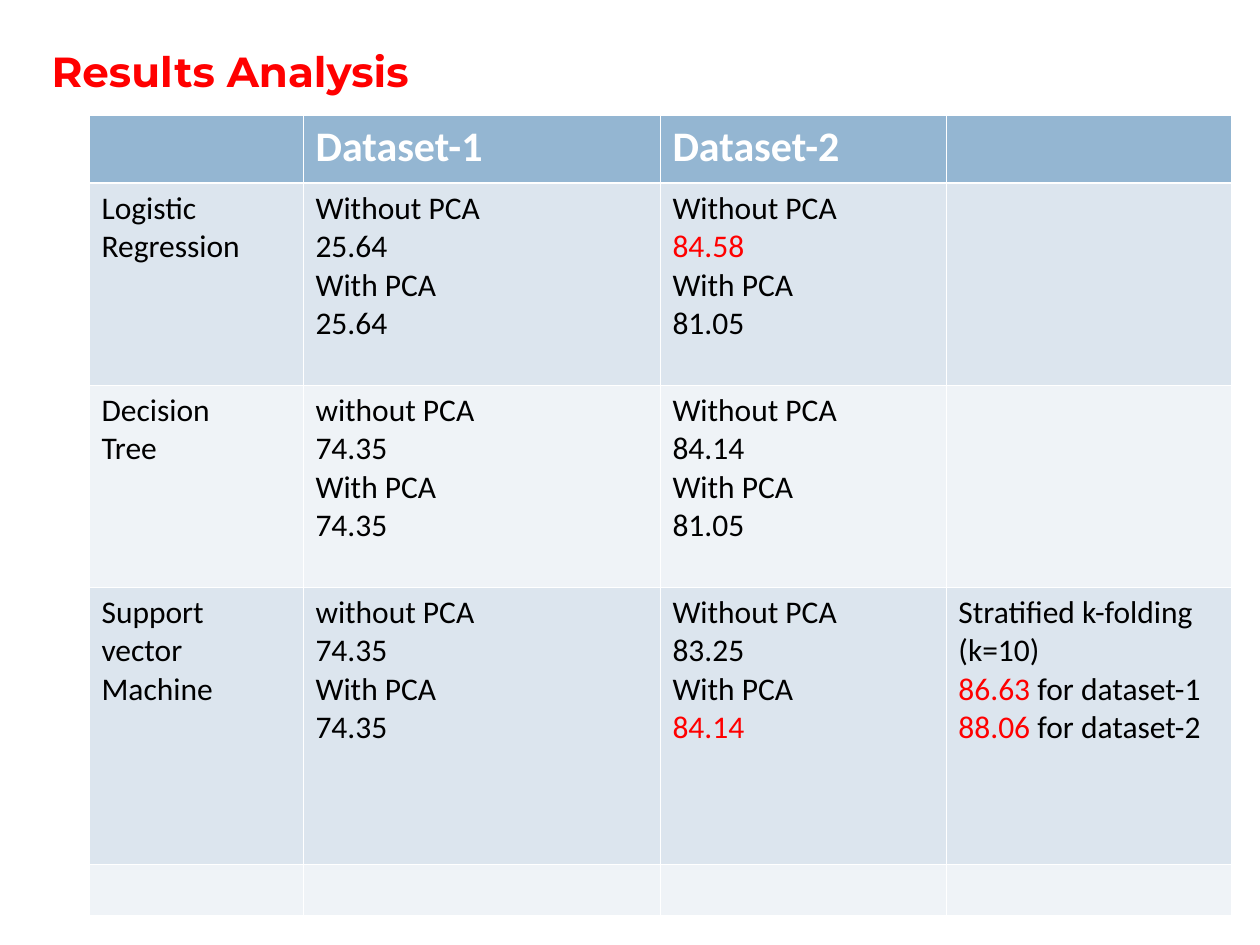
from pptx import Presentation
from pptx.dml.color import RGBColor
from pptx.enum.text import MSO_ANCHOR, MSO_AUTO_SIZE, PP_ALIGN
from pptx.oxml.ns import qn
from pptx.util import Emu, Pt
from lxml.etree import SubElement

PX_PER_INCH = 126
WHITE = RGBColor(0xFF, 0xFF, 0xFF)
BLACK = RGBColor(0x00, 0x00, 0x00)
RED = RGBColor(0xFF, 0x00, 0x00)
HEADER_BLUE = RGBColor(0x94, 0xB6, 0xD2)
BANDS = (RGBColor(0xDC, 0xE5, 0xEE), RGBColor(0xEF, 0xF3, 0xF7))

COL_WIDTHS = (214, 357, 286, 285)
ROW_HEIGHTS = (68, 202, 202, 277, 51)
THIN, THICK = Pt(0.45), Pt(1.47)

# Values between asterisks are highlighted in red.
RESULTS = [
    ["", "Dataset-1", "Dataset-2", ""],
    ["Logistic\nRegression",
     "Without PCA\n25.64\nWith PCA\n25.64",
     "Without PCA\n*84.58*\nWith PCA\n81.05", ""],
    ["Decision\nTree",
     "without PCA\n74.35\nWith PCA\n74.35",
     "Without PCA\n84.14\nWith PCA\n81.05", ""],
    ["Support vector Machine",
     "without PCA\n74.35\nWith PCA\n74.35",
     "Without PCA\n83.25\nWith PCA\n*84.14*",
     "Stratified k-folding\n(k=10)\n*86.63* for dataset-1\n*88.06* for dataset-2"],
    ["", "", "", ""],
]


def px(n):
    return Emu(round(n * 914400 / PX_PER_INCH))


def format_run(r, font, size, color, bold):
    r.font.name = font
    r.font.size = Pt(size)
    r.font.color.rgb = color
    r.font.bold = bold


def add_title(slide, x, y, w, h):
    title = slide.shapes.title
    title.left, title.top, title.width, title.height = px(x), px(y), px(w), px(h)
    tf = title.text_frame
    tf.text = "Results Analysis"
    tf.word_wrap = True
    tf.auto_size = MSO_AUTO_SIZE.NONE
    tf.vertical_anchor = MSO_ANCHOR.TOP
    p = tf.paragraphs[0]
    p.alignment = PP_ALIGN.LEFT
    format_run(p.runs[0], "Montserrat", 24, RED, True)


def set_borders(cell, top, bottom):
    """Draw white borders; call before the fill, which must follow them in the XML."""
    tc_pr = cell._tc.get_or_add_tcPr()
    for side, width in (("L", THIN), ("R", THIN), ("T", top), ("B", bottom)):
        ln = SubElement(tc_pr, qn(f"a:ln{side}"), w=str(int(width)))
        fill = SubElement(ln, qn("a:solidFill"))
        SubElement(fill, qn("a:srgbClr"), val=str(WHITE))


def write_cell(cell, text, size, color, bold):
    tf = cell.text_frame
    tf.text = text.replace("*", "")
    for p, line in zip(tf.paragraphs, text.split("\n")):
        p.text = ""
        for i, part in enumerate(line.split("*")):
            if part:
                r = p.add_run()
                r.text = part
                format_run(r, "Calibri", size, RED if i % 2 else color, bold)


def add_results_table(slide, x, y):
    frame = slide.shapes.add_table(len(ROW_HEIGHTS), len(COL_WIDTHS), px(x), px(y),
                                   px(sum(COL_WIDTHS)), px(sum(ROW_HEIGHTS)))
    table = frame.table
    table.first_row = table.horz_banding = False
    for col, width in zip(table.columns, COL_WIDTHS):
        col.width = px(width)
    for i, (row, height) in enumerate(zip(table.rows, ROW_HEIGHTS)):
        row.height = px(height)
        header = i == 0
        for cell, text in zip(row.cells, RESULTS[i]):
            set_borders(cell, THICK if i == 1 else THIN, THICK if header else THIN)
            cell.fill.solid()
            cell.fill.fore_color.rgb = HEADER_BLUE if header else BANDS[(i - 1) % 2]
            write_cell(cell, text, 24 if header else 18, WHITE if header else BLACK, header)


def main():
    prs = Presentation()
    prs.slide_width, prs.slide_height = px(1260), px(945)
    slide = prs.slides.add_slide(prs.slide_layouts[5])
    add_title(slide, 39, 39, 1162, 113)
    add_results_table(slide, 89, 115)
    prs.save("out.pptx")


if __name__ == "__main__":
    main()
